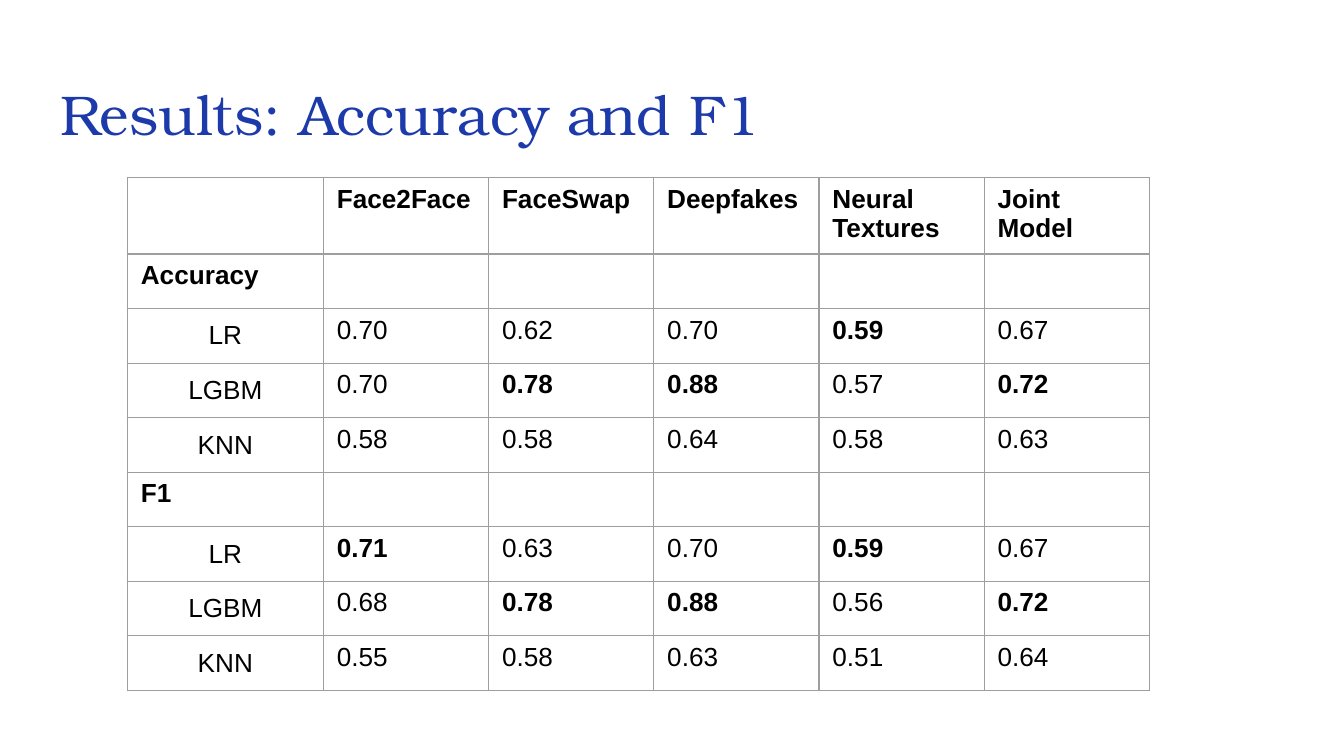
from dataclasses import dataclass

from lxml.etree import SubElement
from pptx import Presentation
from pptx.dml.color import RGBColor
from pptx.enum.text import MSO_ANCHOR, PP_ALIGN
from pptx.oxml.ns import qn
from pptx.util import Emu, Pt

EMU_PER_PX = 9525
SLIDE_WIDTH, SLIDE_HEIGHT = 960, 540
TITLE_INSET = 10
TABLE_LEFT, TABLE_TOP = 91, 127
LABEL_WIDTH, VALUE_WIDTH, ROW_HEIGHT = 140, 118, 39

TITLE_BLUE = RGBColor(0x1C, 0x3A, 0xA9)
BLACK = RGBColor(0x00, 0x00, 0x00)
BORDER_GREY = RGBColor(0x9E, 0x9E, 0x9E)
TITLE_FONT, TABLE_FONT = "TeX Gyre Bonum", "Arial"

HEADERS = ("Face2Face", "FaceSwap", "Deepfakes", "Neural\nTextures", "Joint Model")


@dataclass(frozen=True)
class ModelScores:
    model: str
    scores: tuple[str, ...]
    best: tuple[int, ...] = ()  # positions of the scores shown in bold


@dataclass(frozen=True)
class Metric:
    name: str
    models: tuple[ModelScores, ...]


METRICS = (
    Metric("Accuracy", (
        ModelScores("LR", ("0.70", "0.62", "0.70", "0.59", "0.67"), (3,)),
        ModelScores("LGBM", ("0.70", "0.78", "0.88", "0.57", "0.72"), (1, 2, 4)),
        ModelScores("KNN", ("0.58", "0.58", "0.64", "0.58", "0.63")),
    )),
    Metric("F1", (
        ModelScores("LR", ("0.71", "0.63", "0.70", "0.59", "0.67"), (0, 3)),
        ModelScores("LGBM", ("0.68", "0.78", "0.88", "0.56", "0.72"), (1, 2, 4)),
        ModelScores("KNN", ("0.55", "0.58", "0.63", "0.51", "0.64")),
    )),
)


def px(length: int) -> Emu:
    return Emu(length * EMU_PER_PX)


def add_run(paragraph, text: str, font_name: str, size: int,
            color: RGBColor, bold: bool = False) -> None:
    run = paragraph.add_run()
    run.text = text
    run.font.name = font_name
    run.font.size = Pt(size)
    run.font.bold = bold
    run.font.color.rgb = color


def add_title(slide, text: str) -> None:
    title = slide.shapes.add_textbox(px(33), px(47), px(895), px(60))
    frame = title.text_frame
    frame.word_wrap = True
    frame.margin_left = frame.margin_right = px(TITLE_INSET)
    frame.margin_top = frame.margin_bottom = px(TITLE_INSET)
    add_run(frame.paragraphs[0], text, TITLE_FONT, 30, TITLE_BLUE)


def clear_and_border(cell) -> None:
    """Give the cell four thin grey borders and no fill."""
    properties = cell._tc.get_or_add_tcPr()
    for side in ("a:lnL", "a:lnR", "a:lnT", "a:lnB"):
        line = SubElement(properties, qn(side), w=str(Pt(0.75)))
        fill = SubElement(line, qn("a:solidFill"))
        SubElement(fill, qn("a:srgbClr"), val=str(BORDER_GREY))
    cell.fill.background()


def write_cell(cell, text: str, bold: bool = False, centered: bool = False) -> None:
    """Write one paragraph for each line of the text."""
    frame = cell.text_frame
    for index, line in enumerate(text.split("\n")):
        paragraph = frame.add_paragraph() if index else frame.paragraphs[0]
        if centered:
            paragraph.alignment = PP_ALIGN.CENTER
        add_run(paragraph, line, TABLE_FONT, 14, BLACK, bold)
    if centered:
        cell.vertical_anchor = MSO_ANCHOR.MIDDLE


def add_results_table(slide) -> None:
    row_count = 1 + sum(1 + len(metric.models) for metric in METRICS)
    widths = [LABEL_WIDTH] + [VALUE_WIDTH] * len(HEADERS)
    table = slide.shapes.add_table(
        row_count, len(widths), px(TABLE_LEFT), px(TABLE_TOP),
        px(sum(widths)), px(ROW_HEIGHT * row_count)).table
    table.first_row = False
    table.horz_banding = False
    for column, width in zip(table.columns, widths):
        column.width = px(width)
    for row in table.rows:
        row.height = px(ROW_HEIGHT)
    for cell in table.iter_cells():
        clear_and_border(cell)

    for column, header in enumerate(HEADERS, start=1):
        write_cell(table.cell(0, column), header, bold=True)
    row = 1
    for metric in METRICS:
        write_cell(table.cell(row, 0), metric.name, bold=True)
        for row, entry in enumerate(metric.models, start=row + 1):
            write_cell(table.cell(row, 0), entry.model, centered=True)
            for index, score in enumerate(entry.scores):
                write_cell(table.cell(row, index + 1), score, bold=index in entry.best)
        row += 1


def main() -> None:
    presentation = Presentation()
    presentation.slide_width = px(SLIDE_WIDTH)
    presentation.slide_height = px(SLIDE_HEIGHT)
    slide = presentation.slides.add_slide(presentation.slide_layouts[6])
    add_title(slide, "Results: Accuracy and F1")
    add_results_table(slide)
    presentation.save("out.pptx")


if __name__ == "__main__":
    main()
